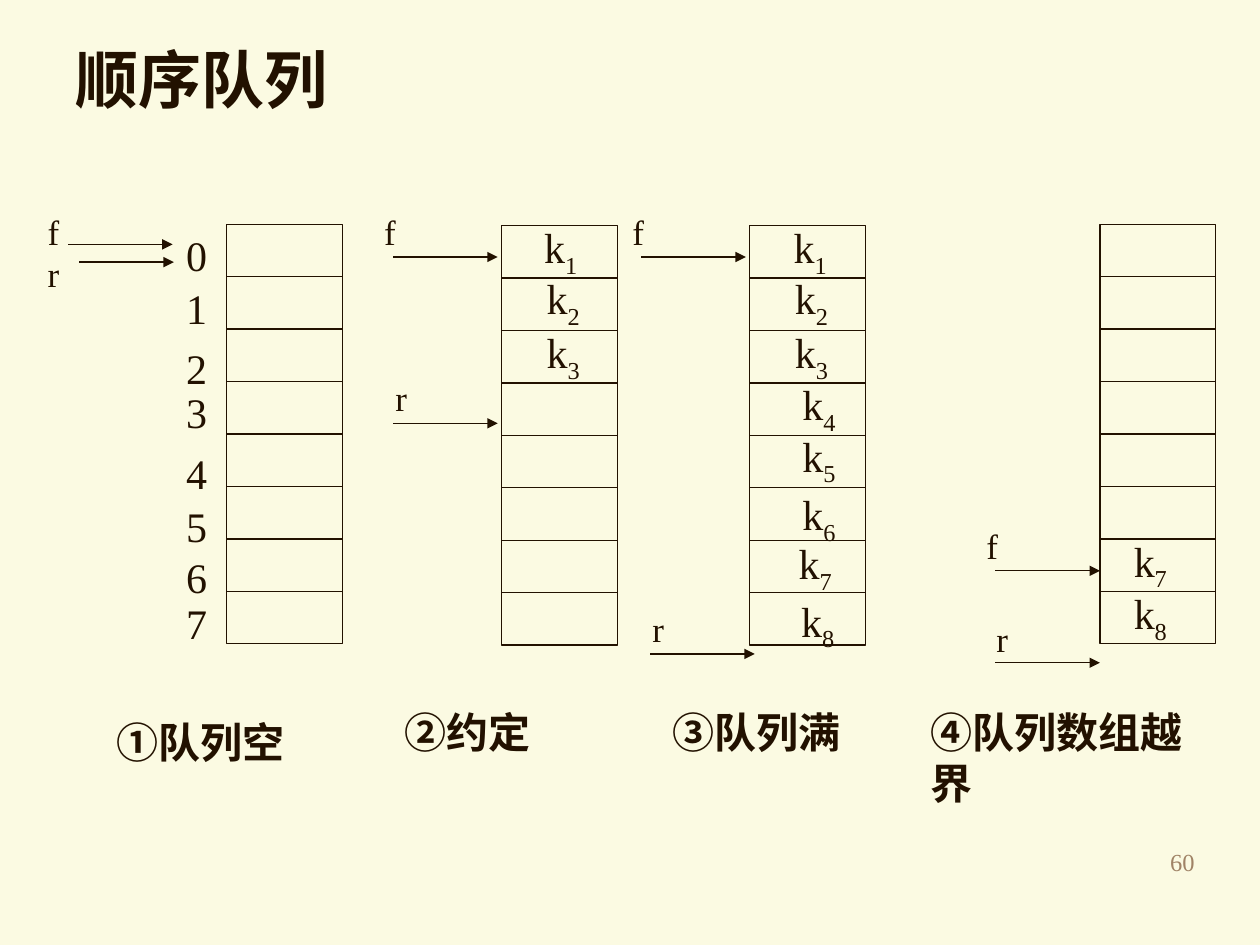
from lxml.etree import SubElement
from pptx import Presentation
from pptx.dml.color import RGBColor
from pptx.enum.shapes import MSO_CONNECTOR, MSO_SHAPE
from pptx.enum.text import MSO_ANCHOR, MSO_AUTO_SIZE, PP_ALIGN
from pptx.oxml.ns import qn
from pptx.util import Inches, Pt

COLORS = {"paper": "FBFAE2", "ink": "221100", "number": "A08366"}
SERIF, CJK = "Times New Roman", "Noto Sans CJK SC"

# Content: lengths in inches
ROWS, CELL_W, CELL_H = 8, 0.92, 3.33 / 8
TITLE = "顺序队列"
PAGE_NUMBER = "60"
INDEX_LEFT = 1.38
INDEX_TOPS = [1.77, 2.19, 2.67, 3.02, 3.5, 3.92, 4.33, 4.69]

# items: row, shift from the cell's left and top
# pointers: text, text left, text top; arrows: start x, end x, y
QUEUES = [
    {"left": 1.8, "top": 1.78, "items": [],
     "pointers": [("f\nr", 0.28, 1.62)],
     "arrows": [(0.54, 1.37, 1.94), (0.63, 1.38, 2.08)]},
    {"left": 3.98, "top": 1.79,
     "items": [(0, 0.24, -0.08), (1, 0.26, -0.09), (2, 0.26, -0.08)],
     "pointers": [("f", 2.95, 1.62), ("r", 3.04, 2.94)],
     "arrows": [(3.12, 3.95, 2.04), (3.12, 3.95, 3.36)]},
    {"left": 5.95, "top": 1.79,
     "items": [(0, 0.25, -0.08), (1, 0.26, -0.09), (2, 0.26, -0.08),
               (3, 0.32, -0.08), (4, 0.32, -0.09), (5, 0.32, -0.04),
               (6, 0.29, -0.07), (7, 0.31, -0.03)],
     "pointers": [("f", 4.92, 1.62), ("r", 5.08, 4.77)],
     "arrows": [(5.09, 5.92, 2.04), (5.16, 5.99, 5.19)]},
    {"left": 8.73, "top": 1.78,
     "items": [(6, 0.17, -0.08), (7, 0.17, -0.08)],
     "pointers": [("f", 7.73, 4.11), ("r", 7.81, 4.85)],
     "arrows": [(7.9, 8.73, 4.53), (7.9, 8.73, 5.26)]},
]

# Captions: number, text, left, top, width, wraps
CAPTIONS = [
    ("①", "队列空", 0.83, 5.64, 1.65, True),
    ("②", "约定", 3.11, 5.56, 1.57, True),
    ("③", "队列满", 5.24, 5.56, 1.57, True),
    ("④", "队列数组越界", 7.29, 5.56, 2.53, False),
]


def color(name):
    return RGBColor.from_string(COLORS[name])


def style(run, size, bold=False, ink="ink", font=SERIF):
    run.font.size, run.font.bold, run.font.name = Pt(size), bold, font
    run.font.color.rgb = color(ink)
    SubElement(run.font._element, qn("a:ea")).set("typeface", CJK)


def add_text(slide, text, box, size, wrap=False, fit=True, **look):
    """Put text in a box; each line of it becomes a paragraph."""
    frame = slide.shapes.add_textbox(*map(Inches, box)).text_frame
    frame.text = text
    frame.word_wrap = wrap
    frame.auto_size = MSO_AUTO_SIZE.SHAPE_TO_FIT_TEXT if fit else MSO_AUTO_SIZE.NONE
    for paragraph in frame.paragraphs:
        for run in paragraph.runs:
            style(run, size, **look)
    return frame


def add_line(slide, x1, x2, y, arrow=False):
    line = slide.shapes.add_connector(
        MSO_CONNECTOR.STRAIGHT, *map(Inches, (x1, y, x2, y)))
    line.line.color.rgb = color("ink")
    line.line.width = Pt(0.75)
    if arrow:
        SubElement(line.line._get_or_add_ln(), qn("a:tailEnd")).set("type", "triangle")
    SubElement(line._element.spPr, qn("a:effectLst"))


def add_item(slide, number, left, top):
    paragraph = add_text(slide, "k", (left, top, 0.46, 0.56), 24).paragraphs[0]
    subscript = paragraph.add_run()
    subscript.text = str(number)
    style(subscript, 24)
    subscript.font._element.set("baseline", "-25000")


def add_queue(slide, queue):
    left, top = queue["left"], queue["top"]
    frame = slide.shapes.add_shape(
        MSO_SHAPE.RECTANGLE, *map(Inches, (left, top, CELL_W, ROWS * CELL_H)))
    frame.shadow.inherit = False
    frame.fill.background()
    frame.line.color.rgb = color("ink")
    frame.line.width = Pt(0.75)
    for row in range(1, ROWS):
        add_line(slide, left, left + CELL_W, top + row * CELL_H)
    for row, dx, dy in queue["items"]:
        add_item(slide, row + 1, left + dx, top + row * CELL_H + dy)
    for text, x, y in queue["pointers"]:
        height = 0.44 + 0.33 * text.count("\n")
        add_text(slide, text, (x, y, 0.29, height), 20)
    for start, end, y in queue["arrows"]:
        add_line(slide, start, end, y, arrow=True)


def main():
    deck = Presentation()
    deck.slide_width, deck.slide_height = Inches(10), Inches(7.5)
    slide = deck.slides.add_slide(deck.slide_layouts[6])
    slide.background.fill.solid()
    slide.background.fill.fore_color.rgb = color("paper")

    # Title
    title = add_text(slide, TITLE, (0.5, 0.33, 8.5, 0.58), 36,
                     wrap=True, fit=False, bold=True)
    title.vertical_anchor = MSO_ANCHOR.MIDDLE

    # Queues and the row numbers beside the first one
    for queue in QUEUES:
        add_queue(slide, queue)
    for index, top in enumerate(INDEX_TOPS):
        add_text(slide, str(index), (INDEX_LEFT, top, 0.36, 0.5), 24)

    # Captions
    for number, caption, left, top, width, wrap in CAPTIONS:
        frame = add_text(slide, number, (left, top, width, 0.5), 24,
                         wrap=wrap, bold=True, font=CJK)
        words = frame.paragraphs[0].add_run()
        words.text = caption
        style(words, 24, bold=True)

    # Page number
    page = add_text(slide, PAGE_NUMBER, (7.5, 6.67, 2.08, 0.5), 14,
                    wrap=True, fit=False, ink="number")
    page.paragraphs[0].alignment = PP_ALIGN.RIGHT

    deck.save("out.pptx")


if __name__ == "__main__":
    main()
